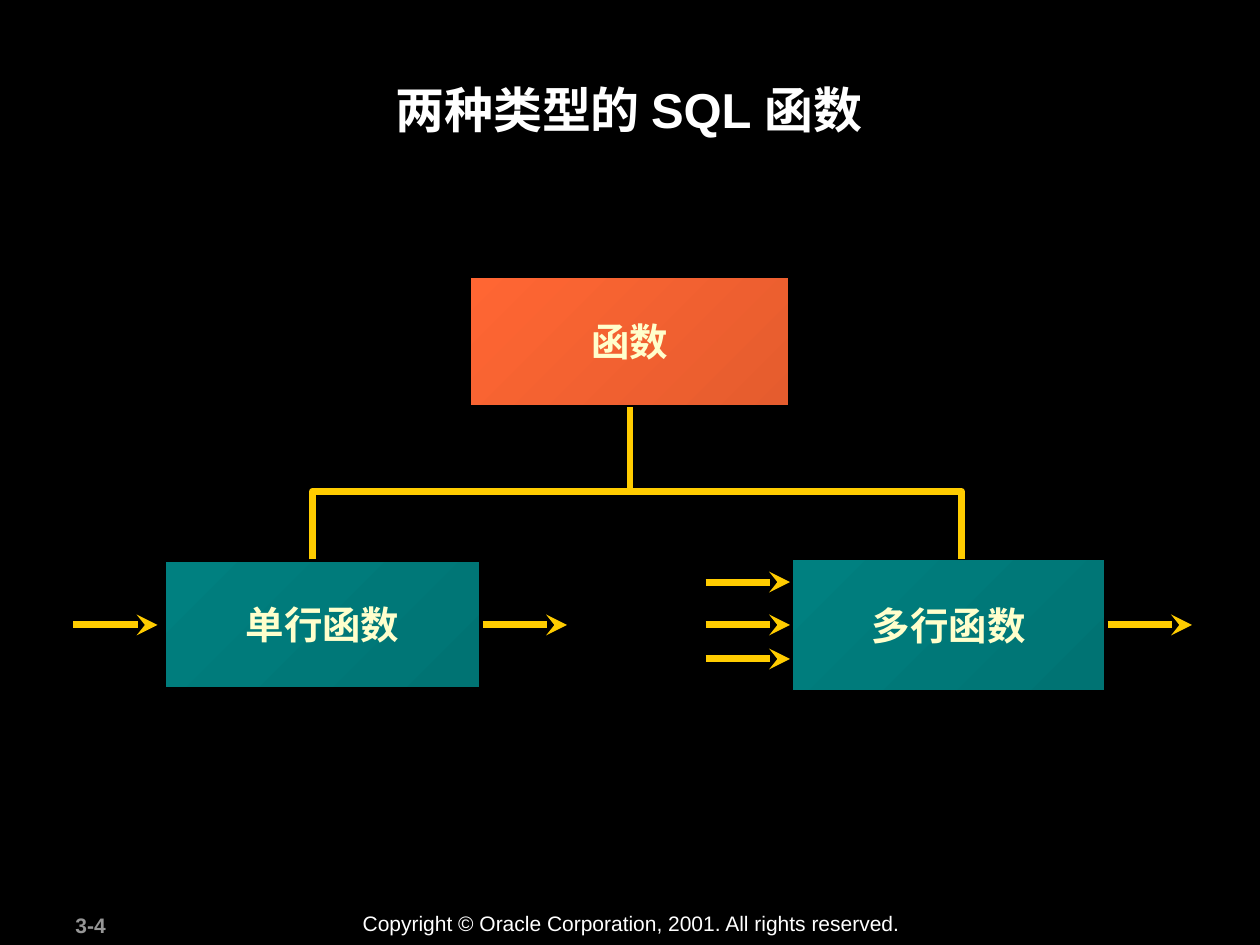
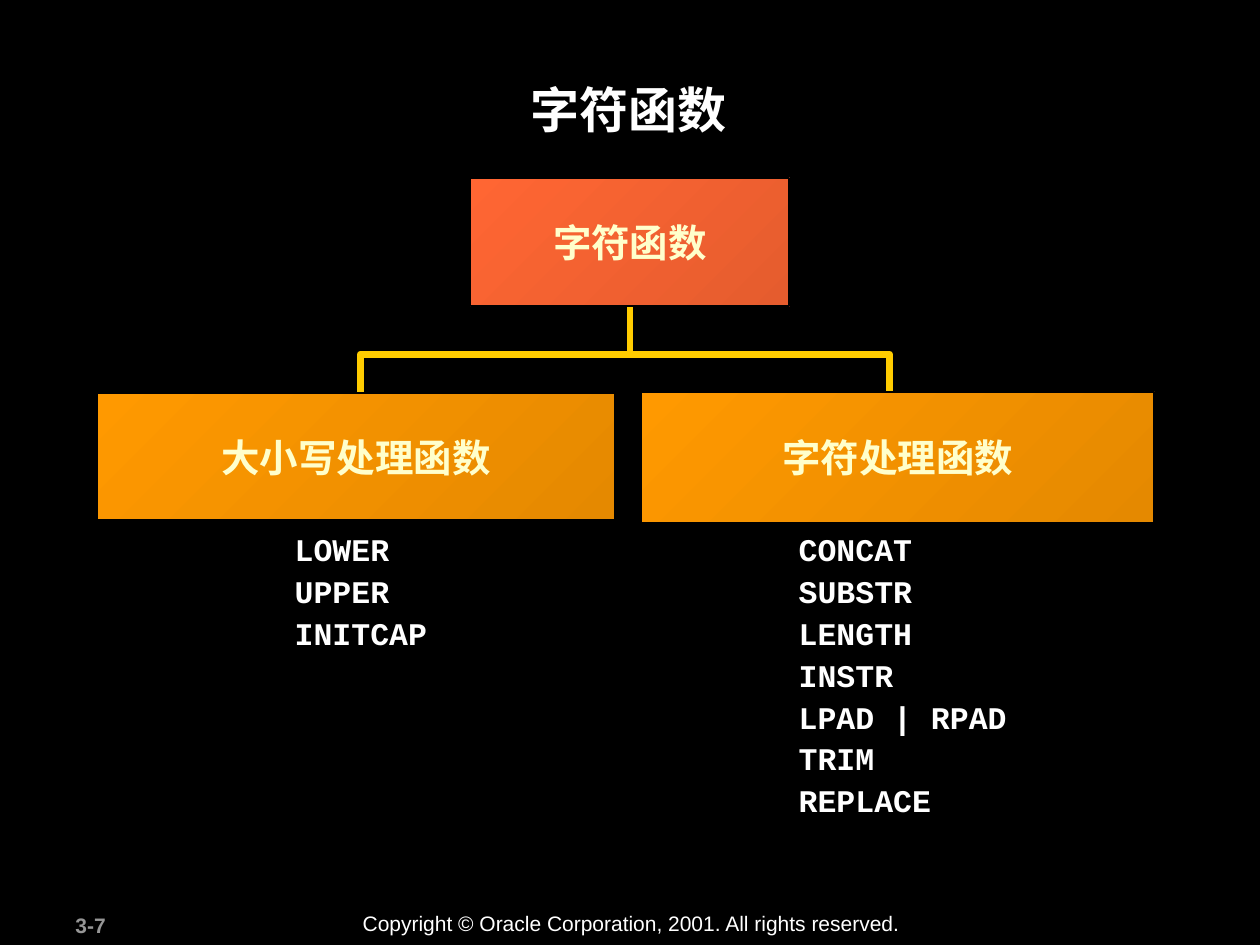
from typing import NamedTuple

from lxml.etree import SubElement
from pptx import Presentation
from pptx.dml.color import RGBColor as Rgb
from pptx.enum.shapes import MSO_CONNECTOR as Conn, MSO_SHAPE as Preset
from pptx.enum.text import MSO_ANCHOR as Anchor, PP_ALIGN as Align
from pptx.oxml.ns import qn
from pptx.util import Inches, Pt

HEX = {
    "back": "000000", "text": "FFFFFF", "label": "FFFFCC", "page": "969696",
    "line": "FFCC00",
}
# Start and end colour of each box gradient
GRADS = {
    "red": ("FF6633", "E55C2E"),
    "teal": ("008080", "007373"),
    "gold": ("FF9900", "E58900"),
}
MID = 5.0
ROOT_W, ROOT_H = 2.53, 1.02
ARROW_W = 0.67
COPY = "Copyright © Oracle Corporation, 2001. All rights reserved."


class Box(NamedTuple):
    text: str
    left: float
    top: float
    width: float
    height: float
    grad: str


class Fork(NamedTuple):
    """Bracket from the root box down to its two children."""
    left: float
    right: float
    top: float
    left_end: float
    right_end: float


class Arrow(NamedTuple):
    left: float
    y: float


class Names(NamedTuple):
    left: float
    items: list[str]


def rgb(name: str) -> Rgb:
    return Rgb.from_string(HEX.get(name, name))


def write(frame, text: str, *, size: float, color: str = "text", bold: bool = True,
          font: str = "Arial", align: Align = Align.LEFT, wrap: bool = True,
          anchor: Anchor = Anchor.TOP, before: float = 0, spacing: float = 1.0) -> None:
    """Fill a text frame, one paragraph for each line of text."""
    frame.word_wrap = wrap
    frame.vertical_anchor = anchor
    for i, line in enumerate(text.split("\n")):
        para = frame.add_paragraph() if i else frame.paragraphs[0]
        para.alignment = align
        para.line_spacing = spacing
        para.space_before = Pt(before if i else 0)
        run = para.add_run()
        run.text = line
        run.font.name, run.font.size, run.font.bold = font, Pt(size), bold
        run.font.color.rgb = rgb(color)


def add_text(slide, text: str, left: float, top: float, width: float,
             height: float, **style) -> None:
    area = slide.shapes.add_textbox(*map(Inches, (left, top, width, height)))
    write(area.text_frame, text, **style)


def add_box(slide, box: Box) -> None:
    rect = slide.shapes.add_shape(
        Preset.RECTANGLE, *map(Inches, (box.left, box.top, box.width, box.height)))
    rect.shadow.inherit = False
    rect.fill.gradient()
    rect.fill.gradient_angle = 315
    for stop, color in zip(rect.fill.gradient_stops, GRADS[box.grad]):
        stop.color.rgb = rgb(color)
    rect.line.color.rgb = rgb("back")
    rect.line.width = Pt(1)
    write(rect.text_frame, box.text, size=22, color="label",
          align=Align.CENTER, anchor=Anchor.MIDDLE, wrap=False)


def style_line(shape) -> None:
    shape.line.color.rgb = rgb("line")
    shape.line.width = Pt(4)
    SubElement(shape.line._get_or_add_ln(), qn("a:round"))


def add_line(slide, x1: float, y1: float, x2: float, y2: float,
             head: bool = False) -> None:
    line = slide.shapes.add_connector(
        Conn.STRAIGHT, *map(Inches, (x1, y1, x2, y2)))
    style_line(line)
    if head:
        SubElement(line.line._get_or_add_ln(), qn("a:tailEnd"), type="stealth")
    SubElement(line._element.spPr, qn("a:effectLst"))


def add_fork(slide, fork: Fork, start: float) -> None:
    add_line(slide, MID, fork.top, MID, start)
    pen = slide.shapes.build_freeform(Inches(fork.left), Inches(fork.left_end))
    points = [(fork.left, fork.top), (fork.right, fork.top),
              (fork.right, fork.right_end)]
    pen.add_line_segments([(Inches(x), Inches(y)) for x, y in points], close=False)
    path = pen.convert_to_shape()
    path.shadow.inherit = False
    path.fill.background()
    style_line(path)


def add_slide(deck, title: str, page: str):
    """Start a slide with the shared background, title and footers."""
    slide = deck.slides.add_slide(deck.slide_layouts[6])
    slide.background.fill.solid()
    slide.background.fill.fore_color.rgb = rgb("back")
    add_text(slide, page, 0.5, 7.19, 1.05, 0.3, size=12, color="page")
    add_text(slide, COPY, 2.78, 7.18, 4.48, 0.3, size=12, bold=False)
    add_text(slide, title, 0.94, 0.58, 8.1, 0.96, size=28, align=Align.CENTER)
    return slide


def add_tree(slide, root: str, top: float, fork: Fork, kids: list[Box]) -> None:
    add_fork(slide, fork, top + ROOT_H)
    add_box(slide, Box(root, MID - ROOT_W / 2, top, ROOT_W, ROOT_H, "red"))
    for kid in kids:
        add_box(slide, kid)


def main() -> None:
    deck = Presentation()
    deck.slide_width, deck.slide_height = Inches(10), Inches(7.5)

    # Two types of functions, with their inputs and outputs
    slide = add_slide(deck, "两种类型的 SQL 函数", "3-4")
    add_tree(slide, "函数", 2.2, Fork(2.48, 7.63, 3.9, 4.44, 4.48), [
        Box("单行函数", 1.31, 4.45, 2.5, 1.01, "teal"),
        Box("多行函数", 6.29, 4.44, 2.48, 1.04, "teal"),
    ])
    flows = [Arrow(x, 4.96) for x in (0.58, 3.83, 5.6, 8.79)]
    flows += [Arrow(5.6, y) for y in (4.62, 5.23)]
    for flow in flows:
        add_line(slide, flow.left, flow.y, flow.left + ARROW_W, flow.y, head=True)

    # Character functions, with the names in each group
    slide = add_slide(deck, "字符函数", "3-7")
    add_tree(slide, "字符函数", 1.41, Fork(2.86, 7.06, 2.81, 3.36, 3.4), [
        Box("大小写处理函数", 0.77, 3.12, 4.11, 1.01, "gold"),
        Box("字符处理函数", 5.09, 3.11, 4.07, 1.04, "gold"),
    ])
    groups = [
        Names(2.24, ["LOWER", "UPPER", "INITCAP"]),
        Names(6.24, ["CONCAT", "SUBSTR", "LENGTH", "INSTR", "LPAD | RPAD",
                     "TRIM", "REPLACE"]),
    ]
    for group in groups:
        add_text(slide, "\n".join(group.items), group.left, 4.19, 1.88,
                 0.04 + len(group.items) / 3, size=18, font="Courier New",
                 before=4.5, spacing=0.9)

    deck.save("out.pptx")


if __name__ == "__main__":
    main()
